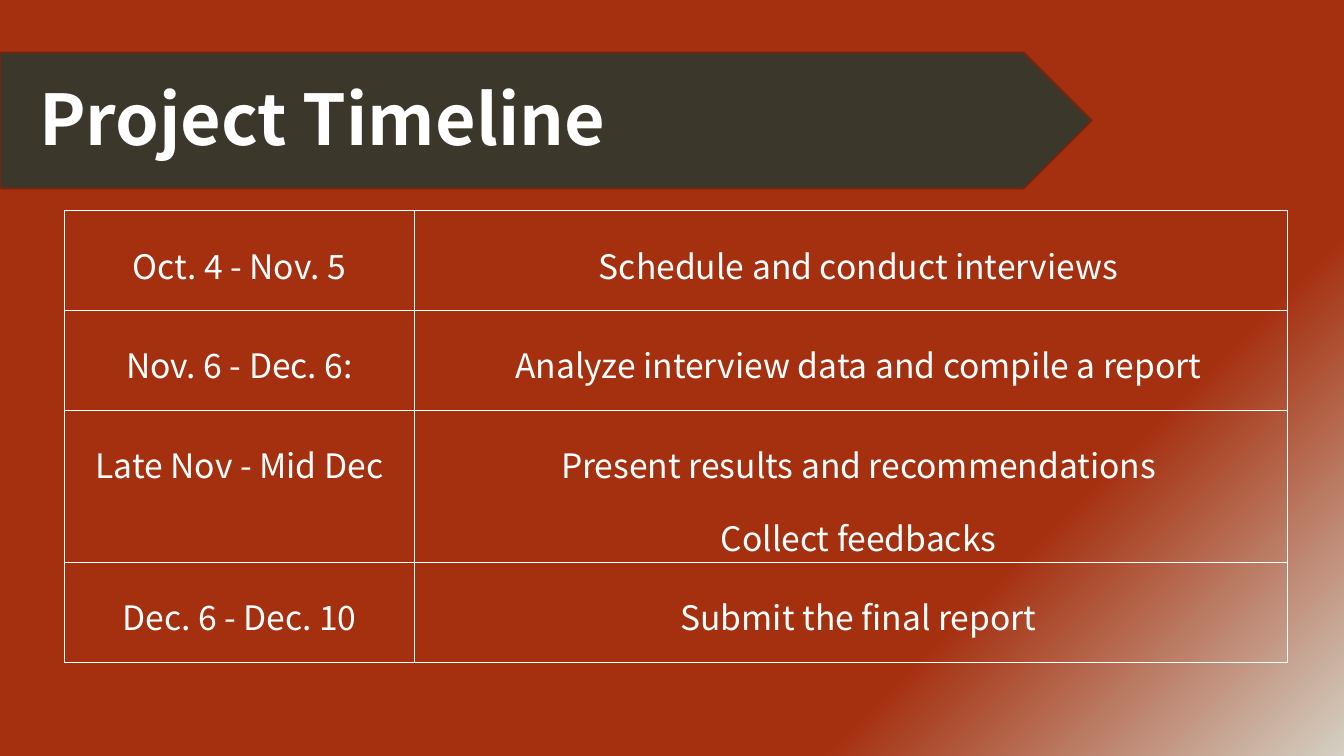
from pptx import Presentation
from pptx.dml.color import RGBColor
from pptx.enum.shapes import MSO_SHAPE as Shape
from pptx.enum.text import MSO_AUTO_SIZE as AutoSize, PP_ALIGN as Align
from pptx.util import Inches, Pt
from lxml import etree

# Content
TITLE = "Project Timeline"
TIMELINE = [
    ("Oct. 4 - Nov. 5", ["Schedule and conduct interviews"]),
    ("Nov. 6 - Dec. 6:", ["Analyze interview data and compile a report"]),
    ("Late Nov - Mid Dec", ["Present results and recommendations", "Collect feedbacks"]),
    ("Dec. 6 - Dec. 10", ["Submit the final report"]),
]

# Style
FONT = "Noto Sans CJK SC"
WHITE, RUST, SAND, OLIVE, BROWN = "FFFFFF", "A53010", "D4D0C3", "3B372A", "7A240C"
COLUMN_WIDTHS = (3.47, 8.66)
ROW_HEIGHT, EXTRA_LINE = 0.99, 0.52
CELL_MARGIN, TASK_INDENT = 0.05, 0.2
DRAWING = "http://schemas.openxmlformats.org/drawingml/2006/main"


def color(hex_value):
    return RGBColor.from_string(hex_value)


def write(frame, lines, size, bold=False, align=Align.LEFT, spacing=None):
    frame.word_wrap = True
    for index, line in enumerate(lines):
        paragraph = frame.paragraphs[0] if index == 0 else frame.add_paragraph()
        paragraph.alignment = align
        paragraph.line_spacing = spacing
        run = paragraph.add_run()
        run.text = line
        run.font.name = FONT
        run.font.size = Pt(size)
        run.font.bold = bold
        run.font.color.rgb = color(WHITE)


def add_borders(cell, hex_value, width):
    properties = cell._tc.get_or_add_tcPr()
    for side in ("lnL", "lnR", "lnT", "lnB"):
        line = etree.SubElement(properties, f"{{{DRAWING}}}{side}", w=str(Pt(width)))
        fill = etree.SubElement(line, f"{{{DRAWING}}}solidFill")
        etree.SubElement(fill, f"{{{DRAWING}}}srgbClr", val=hex_value)


def fill_cell(cell, lines, left_margin):
    cell.margin_left = Inches(left_margin)
    cell.margin_right = cell.margin_top = cell.margin_bottom = Inches(CELL_MARGIN)
    write(cell.text_frame, lines, size=24, align=Align.CENTER, spacing=1.5)
    add_borders(cell, WHITE, 1)
    cell.fill.background()


presentation = Presentation()
presentation.slide_width, presentation.slide_height = Inches(13.33), Inches(7.5)
slide = presentation.slides.add_slide(presentation.slide_layouts[6])

# Background gradient, running to the lower right corner
background = slide.background.fill
background.gradient()
background.gradient_angle = 315
for stop, (position, hex_value) in zip(background.gradient_stops, [(0.75, RUST), (1, SAND)]):
    stop.position = position
    stop.color.rgb = color(hex_value)

# Title banner
banner = slide.shapes.add_shape(Shape.PENTAGON, 0, Inches(0.52), Inches(10.83), Inches(1.35))
banner.shadow.inherit = False
banner.fill.solid()
banner.fill.fore_color.rgb = color(OLIVE)
banner.line.color.rgb = color(BROWN)
banner.line.width = Pt(1.25)

title = slide.shapes.add_textbox(Inches(0.29), Inches(0.7), Inches(9.57), Inches(0.94))
write(title.text_frame, [TITLE], size=50, bold=True)
title.text_frame.auto_size = AutoSize.SHAPE_TO_FIT_TEXT

# Timeline table: each further task line makes its row taller
row_heights = [ROW_HEIGHT + EXTRA_LINE * (len(tasks) - 1) for _, tasks in TIMELINE]
table = slide.shapes.add_table(
    len(TIMELINE), len(COLUMN_WIDTHS), Inches(0.64), Inches(2.09),
    Inches(sum(COLUMN_WIDTHS)), Inches(sum(row_heights))).table
table.first_row = table.horz_banding = False
for column, width in zip(table.columns, COLUMN_WIDTHS):
    column.width = Inches(width)
for index, (dates, tasks) in enumerate(TIMELINE):
    table.rows[index].height = Inches(row_heights[index])
    fill_cell(table.cell(index, 0), [dates], CELL_MARGIN)
    fill_cell(table.cell(index, 1), tasks, TASK_INDENT)

presentation.save("out.pptx")
